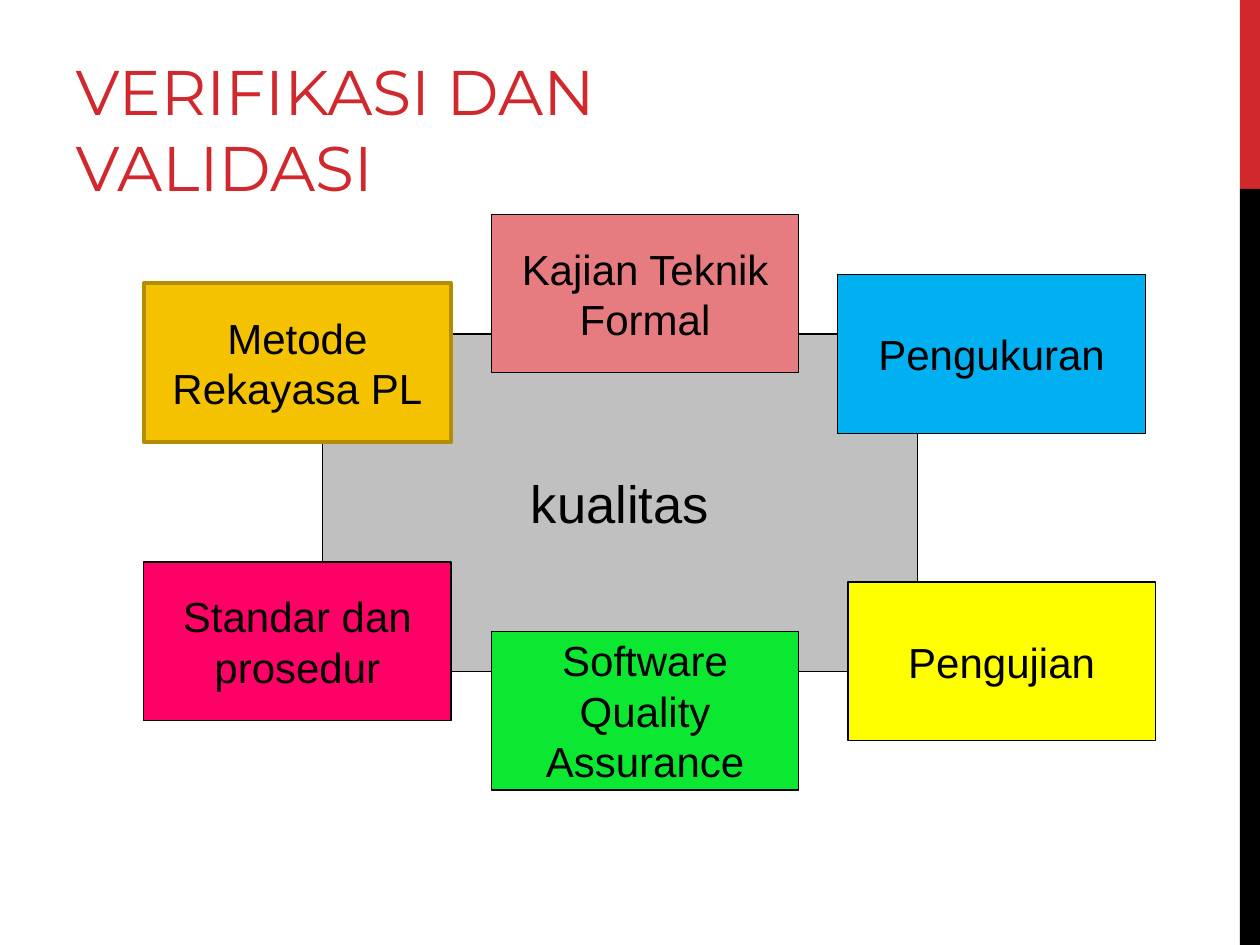
from pptx import Presentation
from pptx import util as u
from pptx.dml.color import RGBColor
from pptx.enum import shapes, text

RED, BLACK = "D1282E", "000000"
SIZE = (2.44, 1.26)
FACTORS = [
    ("Metode\nRekayasa PL", 1.14, 2.25, "F5C201", "B48E00", 2.25),
    ("Kajian Teknik\nFormal", 3.9, 1.7, "E67C7F", BLACK, 0.75),
    ("Standar dan\nprosedur", 1.14, 4.46, "FF0066", BLACK, 0.75),
    ("Software\nQuality\nAssurance", 3.9, 5.01, "0CE831", BLACK, 0.75),
    ("Pengujian", 6.73, 4.62, "FFFF00", BLACK, 0.75),
    ("Pengukuran", 6.65, 2.18, "00B0F0", BLACK, 0.75),
]


def color(code):
    return RGBColor.from_string(code)


def put(item, **values):
    for name, value in values.items():
        setattr(item, name, value)


def write(frame, words, size, face, ink, align):
    frame.text = words
    for para in frame.paragraphs:
        para.alignment = align
        for run in para.runs:
            put(run.font, size=u.Pt(size), name=face)
            run.font.color.rgb = color(ink)


def add_rect(slide, area, fill):
    rect = slide.shapes.add_shape(shapes.MSO_SHAPE.RECTANGLE, *map(u.Inches, area))
    rect.shadow.inherit = False
    rect.fill.solid()
    rect.fill.fore_color.rgb = color(fill)
    rect.line.fill.background()
    return rect


def add_box(slide, words, area, fill, edge=BLACK, width=0.75, size=24):
    box = add_rect(slide, area, fill)
    box.line.color.rgb = color(edge)
    box.line.width = u.Pt(width)
    put(box.text_frame, word_wrap=False, vertical_anchor=text.MSO_ANCHOR.MIDDLE)
    write(box.text_frame, words, size, "Arial", BLACK, text.PP_ALIGN.CENTER)


def set_title(slide, words):
    title = slide.shapes.title
    put(title, left=u.Inches(0.5), top=u.Inches(0.17),
        width=u.Inches(6.33), height=u.Inches(1.5))
    put(title.text_frame, word_wrap=True, auto_size=text.MSO_AUTO_SIZE.NONE,
        vertical_anchor=text.MSO_ANCHOR.BOTTOM)
    write(title.text_frame, words, 36, "Montserrat", RED, text.PP_ALIGN.LEFT)


def main():
    deck = Presentation()
    put(deck, slide_width=u.Inches(10), slide_height=u.Inches(7.5))
    slide = deck.slides.add_slide(deck.slide_layouts[5])
    add_rect(slide, (9.84, 0, 0.16, 1.5), RED)
    add_rect(slide, (9.84, 1.5, 0.16, 6), BLACK)
    set_title(slide, "VERIFIKASI DAN VALIDASI")
    add_box(slide, "kualitas", (2.56, 2.65, 4.72, 2.68), "C0C0C0", size=30)
    for words, left, top, fill, edge, width in FACTORS:
        add_box(slide, words, (left, top, *SIZE), fill, edge, width)
    deck.save("out.pptx")


if __name__ == "__main__":
    main()
